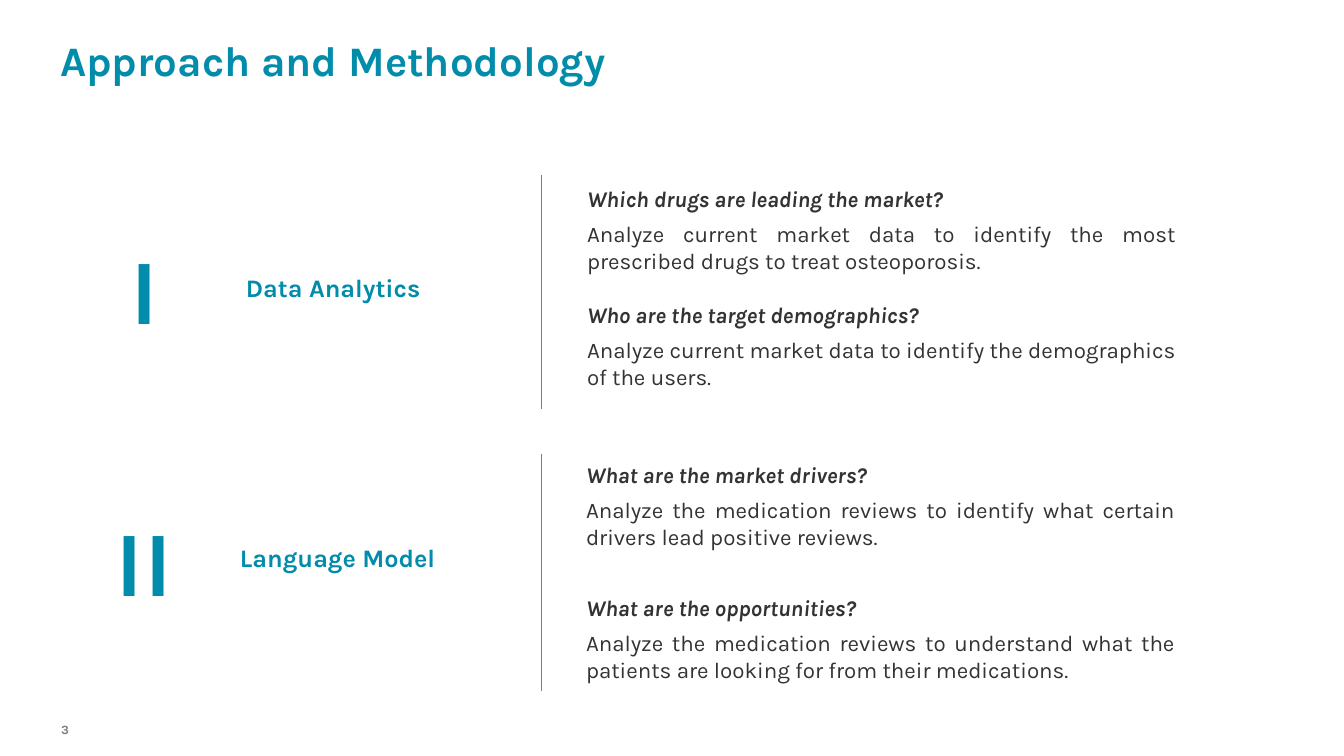
"""Builds the Approach and Methodology slide."""
import pptx
import pptx.util
import pptx.dml.color
import pptx.enum.shapes
import pptx.enum.text
import pptx.oxml

TITLE = "Approach and Methodology"
PAGE_NUMBER = "3"
SECTIONS = [
    {
        "numeral": ("I", (121, 227, 49, 122)),
        "name": ("Data Analytics", (236, 268, 342, 40)),
        "questions_box": (579, 176, 605, 223),
        "divider": (175, 409),
        "answer_gaps": 19,
        "questions": [
            ("Which drugs are leading the market?",
             "Analyze current market data to identify the most prescribed drugs to treat osteoporosis."),
            ("Who are the target demographics?",
             "Analyze current market data to identify the demographics of the users."),
        ],
    },
    {
        "numeral": ("II", (106, 499, 80, 122)),
        "name": ("Language Model", (230, 538, 364, 40)),
        "questions_box": (578, 452, 605, 240),
        "divider": (454, 691),
        "answer_gaps": 31,
        "questions": [
            ("What are the market drivers?",
             "Analyze the medication reviews to identify what certain drivers lead positive reviews."),
            ("What are the opportunities?",
             "Analyze the medication reviews to understand what the patients are looking for from their medications."),
        ],
    },
]

FONT = "Karla"
TEAL = pptx.dml.color.RGBColor(0x00, 0x8C, 0xAA)
DARK = pptx.dml.color.RGBColor(0x33, 0x33, 0x33)
GRAY = pptx.dml.color.RGBColor(0x7D, 0x7D, 0x7D)
DIVIDER_X = 541
ALIGN = pptx.enum.text.PP_ALIGN
ANCHOR = pptx.enum.text.MSO_ANCHOR


def px(length):
    return pptx.util.Emu(round(length * 914400 / 100.8))


def add_frame(slide, box, anchor, insets=(10, 5), wrap=True):
    frame = slide.shapes.add_textbox(*map(px, box)).text_frame
    frame.word_wrap = wrap
    frame.vertical_anchor = anchor
    frame.margin_left = frame.margin_right = px(insets[0])
    frame.margin_top = frame.margin_bottom = px(insets[1])
    return frame


def write(paragraph, text, size, color, align=ALIGN.LEFT, bold=True, italic=False):
    paragraph.text = text
    paragraph.alignment = align
    font = paragraph.runs[0].font
    font.name, font.size = FONT, pptx.util.Pt(size)
    font.bold, font.italic = bold, italic
    font.color.rgb = color


def add_questions(slide, section):
    frame = add_frame(slide, section["questions_box"], ANCHOR.MIDDLE, (8, 8))
    for index, (question, answer) in enumerate(section["questions"]):
        heading = frame.add_paragraph() if index else frame.paragraphs[0]
        write(heading, question, 16, DARK, ALIGN.JUSTIFY, italic=True)
        heading.space_after = pptx.util.Pt(6)
        body = frame.add_paragraph()
        write(body, answer, 16, DARK, ALIGN.JUSTIFY, bold=False)
        if index < len(section["questions"]) - 1:
            body.space_after = pptx.util.Pt(section["answer_gaps"])


def add_divider(slide, top, bottom):
    divider = slide.shapes.add_connector(
        pptx.enum.shapes.MSO_CONNECTOR.STRAIGHT,
        px(DIVIDER_X), px(top), px(DIVIDER_X), px(bottom))
    divider.line.color.rgb = GRAY
    divider.line.width = pptx.util.Pt(0.5)
    pptx.oxml.xmlchemy.OxmlElement
    divider.element.spPr.append(pptx.oxml.parse_xml(
        '<a:effectLst xmlns:a="http://schemas.openxmlformats.org/drawingml/2006/main"/>'))


def main():
    deck = pptx.Presentation()
    deck.slide_width, deck.slide_height = px(1344), px(756)
    slide = deck.slides.add_slide(deck.slide_layouts[6])

    number = add_frame(slide, (22, 717, 47, 24), ANCHOR.MIDDLE, (0, 0))
    write(number.paragraphs[0], PAGE_NUMBER, 9, GRAY, ALIGN.RIGHT)
    title = add_frame(slide, (60, 35, 1082, 125), ANCHOR.TOP, (0, 0))
    write(title.paragraphs[0], TITLE, 30, TEAL)

    for section in SECTIONS:
        text, box = section["numeral"]
        numeral = add_frame(slide, box, ANCHOR.MIDDLE, wrap=False)
        write(numeral.paragraphs[0], text, 66, TEAL, ALIGN.JUSTIFY)
        text, box = section["name"]
        name = add_frame(slide, box, ANCHOR.BOTTOM)
        write(name.paragraphs[0], text, 18, TEAL)
        add_questions(slide, section)
        add_divider(slide, *section["divider"])

    deck.save("out.pptx")


if __name__ == "__main__":
    main()
